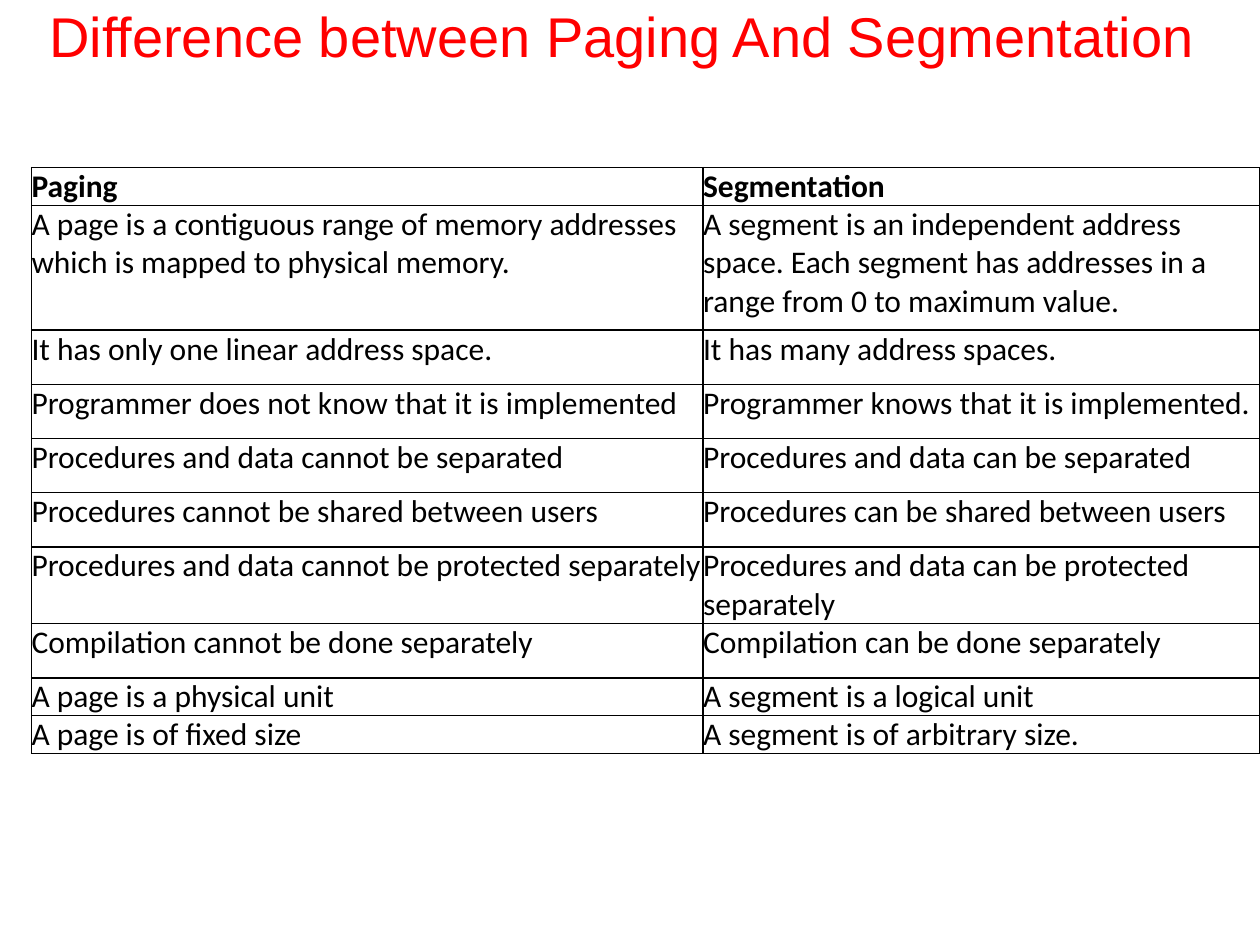
from dataclasses import dataclass

from lxml.etree import SubElement
from pptx import Presentation
from pptx.dml.color import RGBColor
from pptx.enum.text import MSO_ANCHOR, MSO_AUTO_SIZE, PP_ALIGN
from pptx.oxml.ns import qn
from pptx.util import Inches, Pt

RED = RGBColor(0xFF, 0x00, 0x00)
BLACK = RGBColor(0x00, 0x00, 0x00)
LEFT, TOP = 0.25, 1.33
WIDTHS = (5.33, 4.42)
LOW, MID = 0.3, 0.43


@dataclass
class Row:
    paging: str
    segment: str
    height: float = MID
    bold: bool = False


ROWS = [
    Row("Paging", "Segmentation", LOW, bold=True),
    Row("A page is a contiguous range of memory addresses which is mapped "
        "to physical memory.",
        "A segment is an independent address space. Each segment has "
        "addresses in a range from 0 to maximum value.", 0.99),
    Row("It has only one linear address space.",
        "It has many address spaces."),
    Row("Programmer does not know that it is implemented",
        "Programmer knows that it is implemented."),
    Row("Procedures and data cannot be separated",
        "Procedures and data can be separated"),
    Row("Procedures cannot be shared between users",
        "Procedures can be shared between users"),
    Row("Procedures and data cannot be protected separately",
        "Procedures and data can be protected separately", 0.61),
    Row("Compilation cannot be done separately",
        "Compilation can be done separately"),
    Row("A page is a physical unit", "A segment is a logical unit", LOW),
    Row("A page is of fixed size", "A segment is of arbitrary size.", LOW),
]


def write(frame, text: str, *, size: float, font: str, color: RGBColor,
          bold: bool = False) -> None:
    para = frame.paragraphs[0]
    para.alignment = PP_ALIGN.LEFT
    run = para.add_run()
    run.text = text
    run.font.size = Pt(size)
    run.font.name = font
    run.font.bold = bold
    run.font.color.rgb = color


def trim(box) -> None:
    """Set all four text margins of a frame or cell to zero."""
    box.margin_left = box.margin_right = 0
    box.margin_top = box.margin_bottom = 0


def border(cell, color: RGBColor, width: float = 1) -> None:
    props = cell._tc.get_or_add_tcPr()
    for side in ("lnL", "lnR", "lnT", "lnB"):
        line = SubElement(props, qn(f"a:{side}"), w=str(Pt(width)))
        fill = SubElement(line, qn("a:solidFill"))
        SubElement(fill, qn("a:srgbClr"), val=str(color))


def add_title(slide, text: str) -> None:
    title = slide.shapes.title
    title.left, title.top = Inches(0.39), Inches(0.01)
    title.width, title.height = Inches(9.22), Inches(0.54)
    frame = title.text_frame
    trim(frame)
    frame.word_wrap = True
    frame.vertical_anchor = MSO_ANCHOR.TOP
    frame.auto_size = MSO_AUTO_SIZE.SHAPE_TO_FIT_TEXT
    write(frame, text, size=32, font="Arial", color=RED)


def add_grid(slide, rows: list[Row]) -> None:
    table = slide.shapes.add_table(
        len(rows), len(WIDTHS), Inches(LEFT), Inches(TOP),
        Inches(sum(WIDTHS)), Inches(sum(row.height for row in rows))).table
    table.first_row = table.horz_banding = False
    for col, width in zip(table.columns, WIDTHS):
        col.width = Inches(width)
    for line, row in zip(table.rows, rows):
        line.height = Inches(row.height)
        for cell, text in zip(line.cells, (row.paging, row.segment)):
            trim(cell)
            border(cell, BLACK)
            cell.fill.background()
            write(cell.text_frame, text, size=18, font="Calibri",
                  color=BLACK, bold=row.bold)


def main() -> None:
    deck = Presentation()
    deck.slide_width, deck.slide_height = Inches(10), Inches(7.5)
    slide = deck.slides.add_slide(deck.slide_layouts[5])
    add_title(slide, "Difference between Paging And Segmentation")
    add_grid(slide, ROWS)
    deck.save("out.pptx")


if __name__ == "__main__":
    main()
